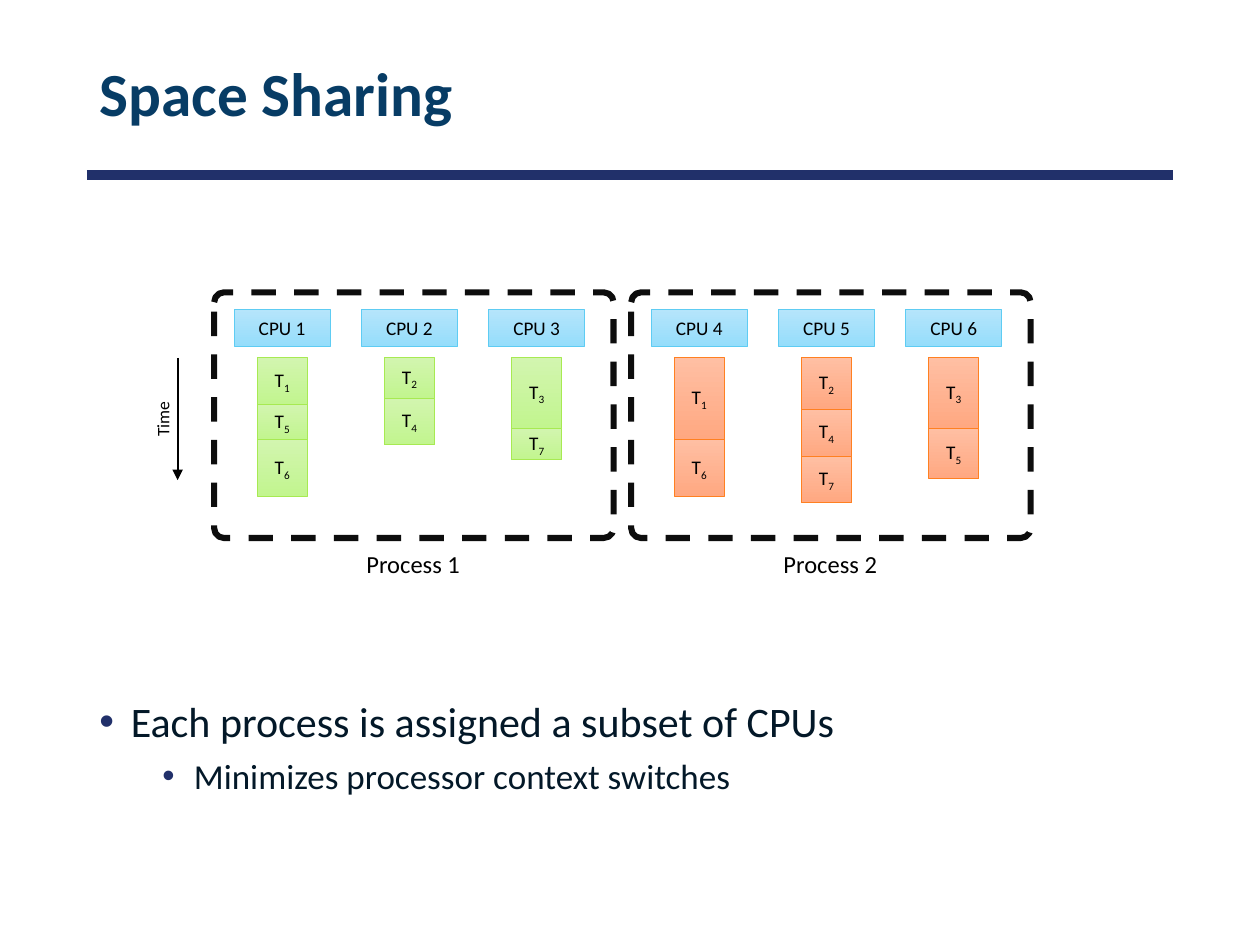
"""Build the Space Sharing slide: two processes, each with its own CPUs."""
from dataclasses import dataclass

from pptx import Presentation
from pptx import util as u
from pptx.dml.color import RGBColor
from pptx.enum import dml, shapes, text
from pptx.oxml.ns import qn
from lxml import etree


@dataclass(frozen=True)
class Theme:
    """Font, colours and type sizes of the slide."""
    font: str = "Calibri"
    title: str = "073C65"
    body: str = "031828"
    accent: str = "21306A"
    ink: str = "000000"
    frame: str = "0D0D0D"
    cpu: tuple = ("B5E5FB", "95DDFB", "5ECCF3")
    green: tuple = ("D2F5AF", "C2F58F", "A7EA52")
    orange: tuple = ("FFBFA3", "FFA881", "FF8021")
    title_size: int = 35
    body_sizes: tuple = (24, 20)
    caption_size: int = 14
    box_size: int = 11
    time_size: int = 10


THEME = Theme()
PITCH = 1.01
PROCESSES = [
    ("Process 1", 1.7, 1, THEME.green, [
        [("1", 0.37), ("5", 0.28), ("6", 0.45)],
        [("2", 0.32), ("4", 0.37)],
        [("3", 0.56), ("7", 0.25)]]),
    ("Process 2", 5.01, 4, THEME.orange, [
        [("1", 0.65), ("6", 0.45)],
        [("2", 0.41), ("4", 0.37), ("7", 0.37)],
        [("3", 0.56), ("5", 0.4)]]),
]


def inches(*values):
    """Turn numbers into lengths."""
    return [u.Inches(v) for v in values]


def rgb(code):
    """Turn a hex code into a colour."""
    return RGBColor.from_string(code)


def apply(obj, values):
    """Set each attribute named in values."""
    for name, value in values.items():
        setattr(obj, name, value)


def add_run(p, wording, size, color, bold=False, subscript=False):
    """Add a formatted run to a paragraph."""
    r = p.add_run()
    r.text = wording
    apply(r.font, {"name": THEME.font, "size": u.Pt(size), "bold": bold})
    r.font.color.rgb = rgb(color)
    if subscript:
        r._r.get_or_add_rPr().set("baseline", "-25000")


def add_line(s, start, end, color, width, arrow=False):
    """Draw a straight line, with an arrowhead if asked."""
    line = s.shapes.add_connector(shapes.MSO_CONNECTOR.STRAIGHT, *inches(*start, *end))
    line.line.color.rgb = rgb(color)
    line.line.width = u.Pt(width)
    if arrow:
        etree.SubElement(line.line._get_or_add_ln(), qn("a:tailEnd"), type="triangle")
    etree.SubElement(line._element.spPr, qn("a:effectLst"))


def add_box(s, box, colors, wording, subscript=""):
    """Draw a gradient box with a centred label."""
    sp = s.shapes.add_shape(shapes.MSO_SHAPE.RECTANGLE, *inches(*box))
    sp.shadow.inherit = False
    sp.fill.gradient()
    sp.fill.gradient_angle = 270
    for stop, color in zip(sp.fill.gradient_stops, colors):
        stop.color.rgb = rgb(color)
    sp.line.color.rgb = rgb(colors[-1])
    sp.line.width = u.Pt(0.5)
    sp.text_frame.vertical_anchor = text.MSO_ANCHOR.MIDDLE
    p = sp.text_frame.paragraphs[0]
    p.alignment = text.PP_ALIGN.CENTER
    add_run(p, wording, THEME.box_size, THEME.ink)
    if subscript:
        add_run(p, subscript, THEME.box_size, THEME.ink, subscript=True)


def add_frame(s, box):
    """Draw a dashed rounded frame."""
    sp = s.shapes.add_shape(shapes.MSO_SHAPE.ROUNDED_RECTANGLE, *inches(*box))
    sp.adjustments[0] = 0.04
    sp.shadow.inherit = False
    sp.fill.background()
    sp.line.color.rgb = rgb(THEME.frame)
    apply(sp.line, {"width": u.Pt(3.5), "dash_style": dml.MSO_LINE.DASH})


def add_label(s, box, wording, size, rotation=0):
    """Add a centred label on one line."""
    sp = s.shapes.add_textbox(*inches(*box))
    sp.rotation = rotation
    apply(sp.text_frame, {"word_wrap": False,
                          "auto_size": text.MSO_AUTO_SIZE.SHAPE_TO_FIT_TEXT})
    p = sp.text_frame.paragraphs[0]
    p.alignment = text.PP_ALIGN.CENTER
    add_run(p, wording, size, THEME.ink)


def add_title(s, wording):
    """Place and format the title, with the rule below it."""
    sp = s.shapes.title
    apply(sp, dict(zip(("left", "top", "width", "height"), inches(0.69, 0.23, 8.62, 1.08))))
    sp.text_frame.vertical_anchor = text.MSO_ANCHOR.MIDDLE
    p = sp.text_frame.paragraphs[0]
    apply(p, {"alignment": text.PP_ALIGN.LEFT, "line_spacing": 0.9})
    add_run(p, wording, THEME.title_size, THEME.title, bold=True)
    add_line(s, (0.69, 1.39), (9.31, 1.39), THEME.accent, 6)


def add_bullets(s, box, items):
    """Add a bulleted list, one level deeper per item."""
    tf = s.shapes.add_textbox(*inches(*box)).text_frame
    tf.word_wrap = True
    for level, wording in enumerate(items):
        p = tf.add_paragraph() if level else tf.paragraphs[0]
        pPr = p._p.get_or_add_pPr()
        pPr.set("marL", str(u.Inches(0.25 + 0.5 * level)))
        pPr.set("indent", str(u.Inches(-0.25)))
        bullet_color = etree.SubElement(pPr, qn("a:buClr"))
        etree.SubElement(bullet_color, qn("a:srgbClr"), val=THEME.accent)
        etree.SubElement(pPr, qn("a:buFont"), typeface="Arial")
        etree.SubElement(pPr, qn("a:buChar"), char="•")
        apply(p, {"level": level, "space_before": u.Pt(5 * level)})
        add_run(p, wording, THEME.body_sizes[level], THEME.body)


def add_process(s, name, left, first_cpu, colors, columns):
    """Draw one process: its CPUs, stacked threads, frame and caption."""
    for i, threads in enumerate(columns):
        x, y = left + 0.16 + i * PITCH, 2.84
        add_box(s, (x, 2.46, 0.76, 0.29), THEME.cpu, f"CPU {first_cpu + i}")
        for number, height in threads:
            add_box(s, (x + 0.18, y, 0.4, height), colors, "T", number)
            y += height
    add_frame(s, (left, 2.32, 3.17, 1.95))
    add_label(s, (left + 1.11, 4.31, 0.94, 0.34), name, THEME.caption_size)


def main():
    """Build and save the slide."""
    prs = Presentation()
    prs.slide_width, prs.slide_height = inches(10, 7.5)
    s = prs.slides.add_slide(prs.slide_layouts[5])
    add_title(s, "Space Sharing")
    add_bullets(s, (0.69, 5.47, 8.62, 1.8),
                ["Each process is assigned a subset of CPUs",
                 "Minimizes processor context switches"])
    for process in PROCESSES:
        add_process(s, *process)
    add_line(s, (1.41, 2.84), (1.41, 3.81), THEME.ink, 1, arrow=True)
    add_label(s, (1.05, 3.19, 0.48, 0.27), "Time", THEME.time_size, rotation=270)
    prs.save("out.pptx")


if __name__ == "__main__":
    main()
